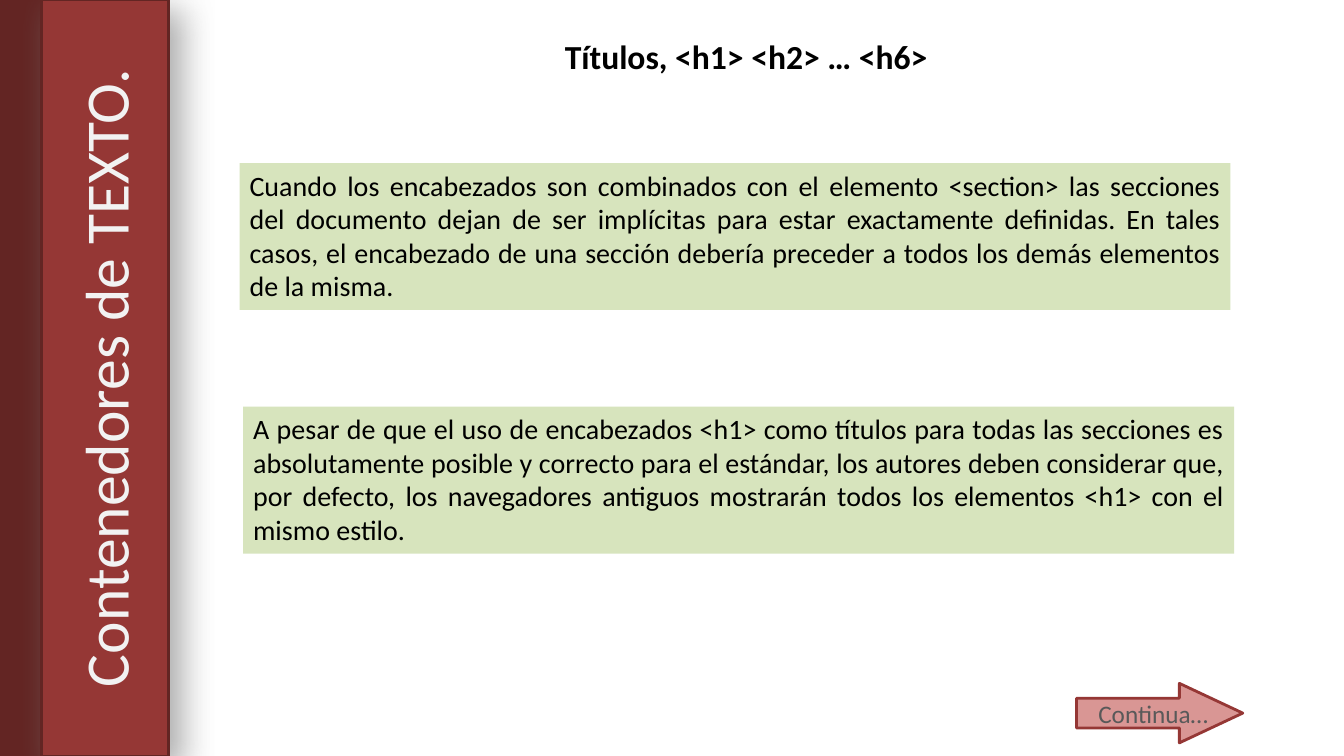
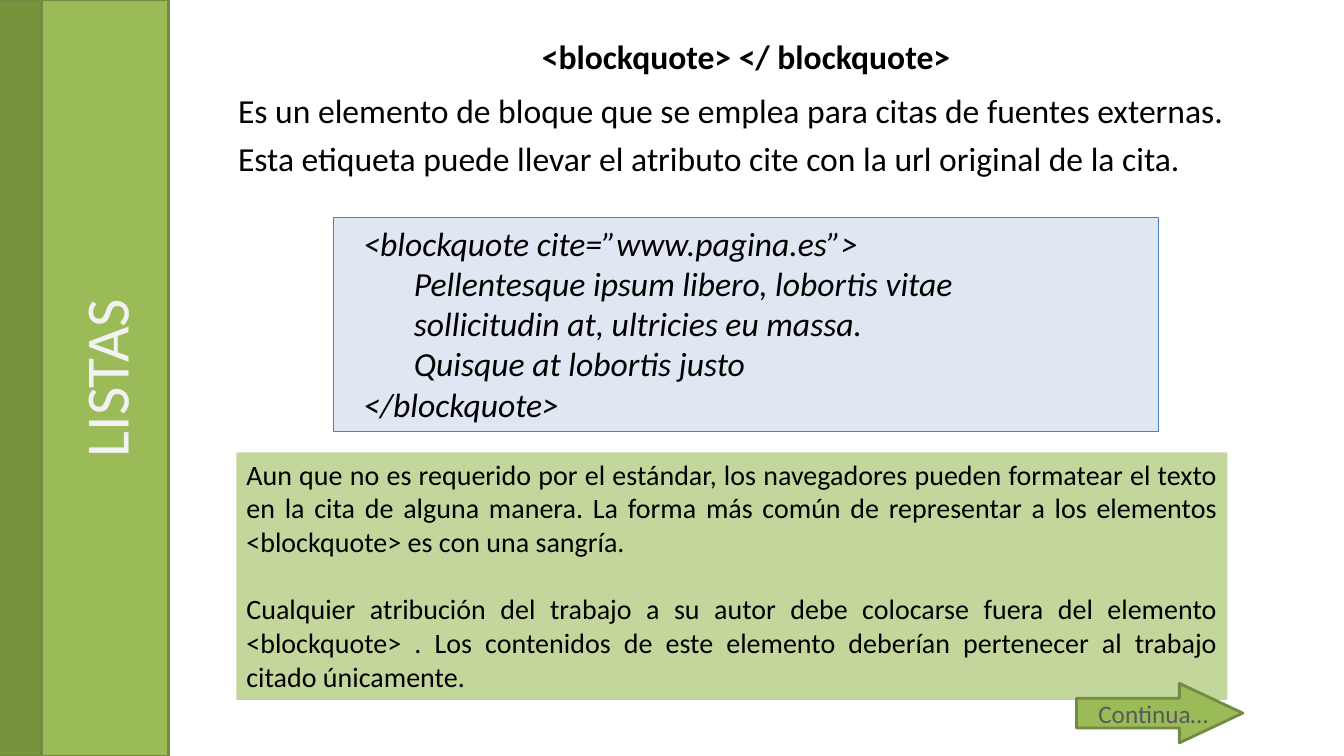
from collections import namedtuple

from lxml.etree import SubElement
from pptx import Presentation
from pptx.dml.color import RGBColor
from pptx.enum.shapes import MSO_SHAPE
from pptx.enum.text import MSO_ANCHOR, PP_ALIGN
from pptx.oxml.ns import qn
from pptx.util import Cm, Pt

FONT = "Calibri"
SLIDE_W, SLIDE_H = 33.87, 19.05
NOTE_W = 24.97

BLACK = RGBColor(0x00, 0x00, 0x00)
WHITE_SMOKE = RGBColor(0xF2, 0xF2, 0xF2)
GREY = RGBColor(0x59, 0x59, 0x59)
SHADOW_GREY = RGBColor(0x80, 0x80, 0x80)
MAROON = RGBColor(0x63, 0x25, 0x23)
RED = RGBColor(0x95, 0x37, 0x35)
PINK = RGBColor(0xD9, 0x96, 0x94)
DARK_GREEN = RGBColor(0x77, 0x93, 0x3C)
MOSS = RGBColor(0x73, 0x8A, 0x42)
GREEN = RGBColor(0x9B, 0xBB, 0x59)
PALE_GREEN = RGBColor(0xD7, 0xE4, 0xBD)
SOFT_GREEN = RGBColor(0xC3, 0xD6, 0x9B)
PALE_BLUE = RGBColor(0xDC, 0xE6, 0xF2)
BLUE = RGBColor(0x4F, 0x81, 0xBD)

Theme = namedtuple("Theme", "back front edge arrow arrow_edge shadow")
TEXT_THEME = Theme(MAROON, RED, MAROON, PINK, RED, True)
LIST_THEME = Theme(DARK_GREEN, GREEN, MOSS, GREEN, MOSS, False)


def add_figure(shapes, preset, box, fill, edge=None, edge_width=0.75):
    figure = shapes.add_shape(preset, *map(Cm, box))
    figure.shadow.inherit = False
    figure.fill.solid()
    figure.fill.fore_color.rgb = fill
    if edge is None:
        figure.line.fill.background()
    else:
        figure.line.color.rgb = edge
        figure.line.width = Pt(edge_width)
    return figure


def write(shape, texts, size, color=BLACK, align=PP_ALIGN.LEFT,
          anchor=MSO_ANCHOR.TOP, bold=False, italic=False):
    """Fill the shape with one paragraph per text and return the paragraphs."""
    frame = shape.text_frame
    frame.word_wrap = True
    frame.vertical_anchor = anchor
    frame.text = "\n".join(texts)
    for paragraph in frame.paragraphs:
        paragraph.alignment = align
        font = paragraph.font
        font.name, font.size = FONT, Pt(size)
        font.bold, font.italic = bold, italic
        font.color.rgb = color
    return frame.paragraphs


def add_text(shapes, box, texts, size, **style):
    label = shapes.add_textbox(*map(Cm, box))
    write(label, texts, size, **style)
    return label


def cast_shadow(shape):
    """Give the shape a soft grey shadow towards the lower right."""
    effects = shape._element.spPr.find(qn("a:effectLst"))
    shadow = SubElement(effects, qn("a:outerShdw"), blurRad=str(Pt(24)),
                        dist=str(Pt(11)), dir="2700000", algn="tl", rotWithShape="0")
    color = SubElement(shadow, qn("a:srgbClr"), val=str(SHADOW_GREY))
    SubElement(color, qn("a:alpha"), val="65000")


def add_side_band(slide, theme, title):
    bands = slide.shapes.add_group_shape().shapes
    for left, fill in ((-0.08, theme.back), (1.04, theme.front)):
        band = add_figure(bands, MSO_SHAPE.RECTANGLE, (left, 0, 3.2, SLIDE_H),
                          fill, theme.edge, 2)
        if theme.shadow:
            cast_shadow(band)
    center, thickness = 2.62, 3.18
    box = (center - SLIDE_H / 2, (SLIDE_H - thickness) / 2, SLIDE_H, thickness)
    name = add_text(slide.shapes, box, [title], 44, color=WHITE_SMOKE,
                    align=PP_ALIGN.CENTER, anchor=MSO_ANCHOR.MIDDLE)
    name.rotation = 270


def add_continue_arrow(slide, theme, left=27.13, top=17.22):
    parts = slide.shapes.add_group_shape().shapes
    arrow = add_figure(parts, MSO_SHAPE.RIGHT_ARROW, (left, top, 4.19, 1.5),
                       theme.arrow, theme.arrow_edge, 2)
    arrow.adjustments[1] = 1.065
    add_text(parts, (left + 0.3, top + 0.26, 3.61, 1.02), ["Continua…"], 18, color=GREY)


def add_note(slide, left, top, height, fill, texts):
    note = add_figure(slide.shapes, MSO_SHAPE.RECTANGLE, (left, top, NOTE_W, height), fill)
    paragraphs = write(note, texts, 20, align=PP_ALIGN.JUSTIFY)
    for paragraph in paragraphs:
        paragraph.line_spacing = Pt(24)
    for paragraph in paragraphs[1:]:
        paragraph.space_before = Pt(24)


def add_intro(slide, box, texts):
    intro = add_text(slide.shapes, box, texts, 24, align=PP_ALIGN.JUSTIFY)
    for paragraph in intro.text_frame.paragraphs:
        paragraph.space_after = Pt(6)


def add_code_sample(slide, box, opening, body, closing):
    """Draw the code box, with the body indented between its two tags."""
    sample = add_figure(slide.shapes, MSO_SHAPE.RECTANGLE, box, PALE_BLUE, BLUE)
    fill_color = sample._element.spPr.find(qn("a:solidFill"))[0]
    SubElement(fill_color, qn("a:alpha"), val="94000")
    lines = write(sample, [opening, *body, closing], 24, italic=True)
    for line in lines:
        is_body = line.text in body
        line.level = int(is_body)
        properties = line._p.get_or_add_pPr()
        properties.set("marL", str(Cm(1.78 if is_body else 0.51)))
        properties.set("indent", "0")


def add_base(deck, theme, section, heading):
    slide = deck.slides.add_slide(deck.slide_layouts[6])
    add_side_band(slide, theme, section)
    add_text(slide.shapes, (6.6, 0.79, 24.41, 1.27), [heading], 24,
             align=PP_ALIGN.CENTER, bold=True)
    return slide


def build_headings_slide(deck):
    slide = add_base(deck, TEXT_THEME, "Contenedores de TEXTO.", "Títulos, <h1> <h2> … <h6>")
    add_note(slide, 6.04, 4.11, 3.7, PALE_GREEN, [
        "Cuando los encabezados son combinados con el elemento <section> las secciones "
        "del documento dejan de ser implícitas para estar exactamente definidas. En tales "
        "casos, el encabezado de una sección debería preceder a todos los demás elementos "
        "de la misma."])
    add_note(slide, 6.13, 10.25, 3.7, PALE_GREEN, [
        "A pesar de que el uso de encabezados <h1> como títulos para todas las secciones es "
        "absolutamente posible y correcto para el estándar, los autores deben considerar que, "
        "por defecto, los navegadores antiguos mostrarán todos los elementos <h1> con el "
        "mismo estilo."])
    add_continue_arrow(slide, TEXT_THEME)


def build_blockquote_slide(deck):
    slide = add_base(deck, LIST_THEME, "LISTAS", "<blockquote> </ blockquote>")
    add_intro(slide, (5.75, 2.13, 25.6, 2.51), [
        "Es un elemento de bloque que se emplea para citas de fuentes externas.",
        "Esta etiqueta puede llevar el atributo cite con la url original de la cita."])
    add_code_sample(slide, (8.4, 5.48, 20.8, 5.4),
                    "<blockquote cite=”www.pagina.es”>",
                    ["Pellentesque ipsum libero, lobortis vitae",
                     "sollicitudin at, ultricies eu massa.",
                     "Quisque at lobortis justo"],
                    "</blockquote>")
    add_note(slide, 5.96, 11.4, 6.24, SOFT_GREEN, [
        "Aun que no es requerido por el estándar, los navegadores pueden formatear el texto "
        "en la cita de alguna manera. La forma más común de representar a los elementos "
        "<blockquote> es con una sangría.",
        "Cualquier atribución del trabajo a su autor debe colocarse fuera del elemento "
        "<blockquote> . Los contenidos de este elemento deberían pertenecer al trabajo "
        "citado únicamente."])
    add_continue_arrow(slide, LIST_THEME)


def main():
    deck = Presentation()
    deck.slide_width, deck.slide_height = Cm(SLIDE_W), Cm(SLIDE_H)
    build_headings_slide(deck)
    build_blockquote_slide(deck)
    deck.save("out.pptx")


if __name__ == "__main__":
    main()
